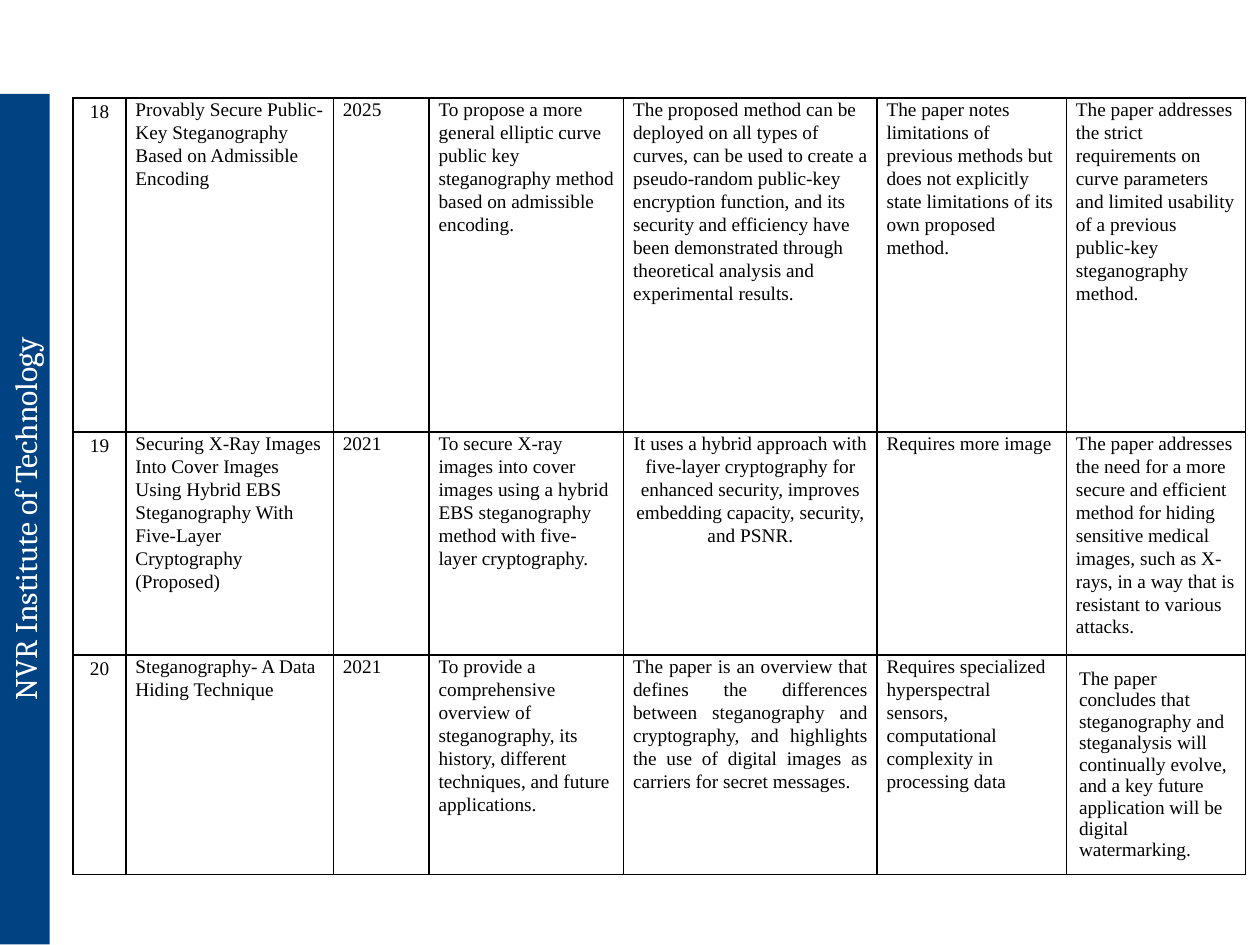
from dataclasses import dataclass

from lxml.etree import SubElement
from pptx import Presentation
from pptx.dml.color import RGBColor
from pptx.enum.shapes import MSO_SHAPE
from pptx.enum.text import MSO_ANCHOR, PP_ALIGN
from pptx.oxml.ns import qn
from pptx.util import Pt


@dataclass(frozen=True)
class Theme:
    navy: str = "004282"
    white: str = "FFFFFF"
    black: str = "000000"
    serif: str = "Cambria"
    body: str = "Times New Roman"
    large: int = 18
    small: int = 11


THEME = Theme()
WIDTHS = [30.24, 118.5, 54.72, 111.2, 144.8, 108.2, 102.4]
HEIGHTS = [190.8, 127.4, 125.6]
ROWS = [
    [
        "18",
        "Provably Secure Public-Key Steganography Based on Admissible Encoding",
        "2025",
        "To propose a more general elliptic curve public key steganography "
        "method based on admissible encoding.",
        "The proposed method can be deployed on all types of curves, can be used "
        "to create a pseudo-random public-key encryption function, and its "
        "security and efficiency have been demonstrated through theoretical "
        "analysis and experimental results.",
        "The paper notes limitations of previous methods but does not explicitly "
        "state limitations of its own proposed method.",
        "The paper addresses the strict requirements on curve parameters and "
        "limited usability of a previous public-key steganography method.",
    ],
    [
        "19",
        "Securing X-Ray Images Into Cover Images Using Hybrid EBS Steganography "
        "With Five-Layer Cryptography (Proposed)",
        "2021",
        "To secure X-ray images into cover images using a hybrid EBS "
        "steganography method with five-layer cryptography.",
        "It uses a hybrid approach with five-layer cryptography for enhanced "
        "security, improves embedding capacity, security, and PSNR.",
        "Requires more image",
        "The paper addresses the need for a more secure and efficient method for "
        "hiding sensitive medical images, such as X-rays, in a way that is "
        "resistant to various attacks.",
    ],
    [
        "20",
        "Steganography- A Data Hiding Technique",
        "2021",
        "To provide a comprehensive overview of steganography, its history, "
        "different techniques, and future applications.",
        "The paper is an overview that defines the differences between "
        "steganography and cryptography, and highlights the use of digital "
        "images as carriers for secret messages.",
        "Requires specialized hyperspectral sensors, computational complexity in "
        "processing data",
        "The paper concludes that steganography and steganalysis will "
        "continually evolve, and a key future application will be digital "
        "watermarking.",
    ],
]
ALIGNS = {(1, 4): PP_ALIGN.CENTER, (2, 4): PP_ALIGN.JUSTIFY}
LAST = (2, 6)


def add_run(para, text, font, size, color):
    run = para.add_run()
    run.text = text
    run.font.name = font
    run.font.size = Pt(size)
    run.font.color.rgb = RGBColor.from_string(color)


def paint(item, color):
    item.fill.solid()
    item.fill.fore_color.rgb = RGBColor.from_string(color)


def add_banner(slide, text):
    bar = slide.shapes.add_shape(
        MSO_SHAPE.RECTANGLE, Pt(-229), Pt(282.2), Pt(486), Pt(28.8)
    )
    bar.rotation = 270
    bar.shadow.inherit = False
    paint(bar, THEME.navy)
    bar.line.fill.background()
    para = bar.text_frame.paragraphs[0]
    para.alignment = PP_ALIGN.CENTER
    para.space_before = Pt(3)
    add_run(para, text, THEME.serif, THEME.large, THEME.white)


def add_edges(cell):
    props = cell._tc.get_or_add_tcPr()
    for side in ("a:lnL", "a:lnR", "a:lnT", "a:lnB"):
        line = SubElement(props, qn(side), w=str(Pt(1)))
        fill = SubElement(line, qn("a:solidFill"))
        SubElement(fill, qn("a:srgbClr"), val=THEME.black)


def set_inset(cell, side):
    cell.margin_left = cell.margin_right = Pt(side)
    cell.margin_top = cell.margin_bottom = 0


def fill_cell(cell, spot, text):
    add_edges(cell)
    paint(cell, THEME.white)
    para = cell.text_frame.paragraphs[0]
    if spot == LAST:
        cell.vertical_anchor = MSO_ANCHOR.MIDDLE
    elif spot[1] == 0:
        set_inset(cell, 2.16)
        para.alignment = PP_ALIGN.CENTER
        para.line_spacing = 1.15
        para.space_after = Pt(8)
    else:
        set_inset(cell, 5.4)
        para.alignment = ALIGNS.get(spot, PP_ALIGN.LEFT)
        para.line_spacing = 1.07
    add_run(para, text, THEME.body, THEME.small, THEME.black)


def add_papers(slide):
    frame = slide.shapes.add_table(
        len(ROWS), len(WIDTHS), Pt(41.8), Pt(56),
        Pt(sum(WIDTHS)), Pt(sum(HEIGHTS)),
    )
    table = frame.table
    table.first_row = table.horz_banding = False
    for col, width in zip(table.columns, WIDTHS):
        col.width = Pt(width)
    for row, height in zip(table.rows, HEIGHTS):
        row.height = Pt(height)
    for r, texts in enumerate(ROWS):
        for c, text in enumerate(texts):
            fill_cell(table.cell(r, c), (r, c), text)


def main():
    deck = Presentation()
    deck.slide_width, deck.slide_height = Pt(720), Pt(540)
    slide = deck.slides.add_slide(deck.slide_layouts[6])
    add_banner(slide, "NVR Institute of Technology")
    add_papers(slide)
    deck.save("out.pptx")


if __name__ == "__main__":
    main()
